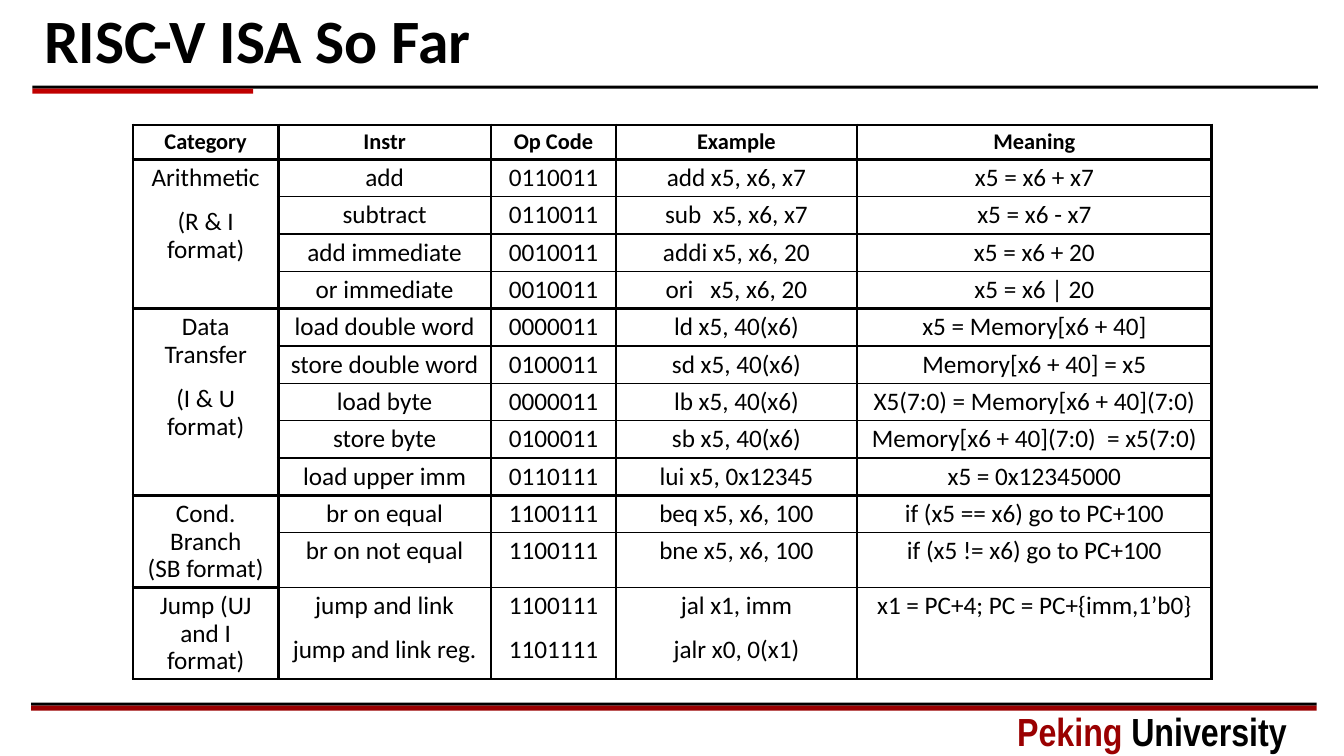
"""Build the slide that sums up the RISC-V instructions."""
from lxml.etree import SubElement
from pptx import Presentation
from pptx.dml.color import RGBColor
from pptx.enum.shapes import MSO_SHAPE
from pptx.enum.text import MSO_ANCHOR, MSO_AUTO_SIZE, PP_ALIGN
from pptx.oxml.ns import qn
from pptx.util import Inches, Pt

BLACK = RGBColor(0x00, 0x00, 0x00)
RED = RGBColor(0xC0, 0x00, 0x00)
WINE = RGBColor(0x9A, 0x00, 0x01)

TITLE = "RISC-V ISA So Far"
SCHOOL = [("Peking ", WINE), ("University", BLACK)]
BARS = [
    (0.32, 0.85, 12.75, 0.03, BLACK),
    (0.32, 0.88, 2.19, 0.05, RED),
    (0.31, 6.97, 12.75, 0.03, BLACK),
    (0.31, 7, 12.75, 0.05, WINE),
]
HEAD = ("Category", "Instr", "Op Code", "Example", "Meaning")
GROUPS = [
    ("Arithmetic\n(R & I format)", [
        ("add", "0110011", "add x5, x6, x7", "x5 = x6 + x7"),
        ("subtract", "0110011", "sub  x5, x6, x7", "x5 = x6 - x7"),
        ("add immediate", "0010011", "addi x5, x6, 20", "x5 = x6 + 20"),
        ("or immediate", "0010011", "ori   x5, x6, 20", "x5 = x6 | 20"),
    ]),
    ("Data Transfer\n(I & U format)", [
        ("load double word", "0000011", "ld x5, 40(x6)", "x5 = Memory[x6 + 40]"),
        ("store double word", "0100011", "sd x5, 40(x6)", "Memory[x6 + 40] = x5"),
        ("load byte", "0000011", "lb x5, 40(x6)", "X5(7:0) = Memory[x6 + 40](7:0)"),
        ("store byte", "0100011", "sb x5, 40(x6)", "Memory[x6 + 40](7:0)  = x5(7:0)"),
        ("load upper imm", "0110111", "lui x5, 0x12345", "x5 = 0x12345000"),
    ]),
    ("Cond. Branch\v(SB format)", [
        ("br on equal", "1100111", "beq x5, x6, 100", "if (x5 == x6) go to PC+100"),
        ("br on not equal", "1100111", "bne x5, x6, 100", "if (x5 != x6) go to PC+100"),
    ]),
    ("Jump (UJ and I format)", [
        ("jump and link\njump and link reg.", "1100111\n1101111",
         "jal x1, imm\njalr x0, 0(x1)", "x1 = PC+4; PC = PC+{imm,1’b0}"),
    ]),
]
WIDTHS = (1.44, 2.11, 1.24, 2.39, 3.52)
HEIGHTS = [0.31] + [0.34] * 11 + [0.38]
THICK, THIN = 2.25, 1
RULES = {0, 1, 5, 10, 13}


def style(para, size, name, bold):
    """Set the font of a paragraph."""
    font = para.font
    font.size, font.name, font.bold = Pt(size), name, bold
    font.color.rgb = BLACK


def edge(cell, side, width):
    """Draw one border of a cell."""
    line = SubElement(cell._tc.get_or_add_tcPr(), qn("a:ln" + side), w=str(Pt(width)))
    fill = SubElement(line, qn("a:solidFill"))
    SubElement(fill, qn("a:srgbClr"), val=str(BLACK))


def dress(cell, row, col):
    """Draw all borders of a cell and clear its fill."""
    heavy = {
        "L": col < 2,
        "R": col in (0, len(WIDTHS) - 1),
        "T": col == 0 or row in RULES,
        "B": col == 0 or row + 1 in RULES,
    }
    for side, bold in heavy.items():
        edge(cell, side, THICK if bold else THIN)
    cell.fill.background()


def write(cell, text, size, bold):
    """Put centred paragraphs into a cell."""
    cell.text = text
    for i, para in enumerate(cell.text_frame.paragraphs):
        para.alignment = PP_ALIGN.CENTER
        para.line_spacing = 0.9
        para.space_before = Pt(11.7 if i else 0)
        style(para, size, "Calibri", bold)


def add_bars(slide):
    """Draw the rules above and below the table."""
    for *box, color in BARS:
        bar = slide.shapes.add_shape(MSO_SHAPE.RECTANGLE, *map(Inches, box))
        bar.shadow.inherit = False
        bar.fill.solid()
        bar.fill.fore_color.rgb = color
        bar.line.fill.background()


def add_text(slide, box):
    """Add a wrapped text box and return its frame."""
    frame = slide.shapes.add_textbox(*map(Inches, box)).text_frame
    frame.word_wrap = True
    return frame


def add_grid(slide):
    """Add the table of instructions."""
    shape = slide.shapes.add_table(len(HEIGHTS), len(WIDTHS), *map(Inches, (1.32, 1.24, 10.7, 5.49)))
    grid = shape.table
    grid.first_row = grid.horz_banding = False
    for col, width in zip(grid.columns, WIDTHS):
        col.width = Inches(width)
    for row, height in zip(grid.rows, HEIGHTS):
        row.height = Inches(height)
    for row in range(len(HEIGHTS)):
        for col in range(len(WIDTHS)):
            dress(grid.cell(row, col), row, col)
    for col, text in enumerate(HEAD):
        write(grid.cell(0, col), text, 16, True)
    top = 1
    for label, rows in GROUPS:
        if len(rows) > 1:
            grid.cell(top, 0).merge(grid.cell(top + len(rows) - 1, 0))
        write(grid.cell(top, 0), label, 18, False)
        for row, texts in enumerate(rows, top):
            for col, text in enumerate(texts, 1):
                write(grid.cell(row, col), text, 18, False)
        top += len(rows)


def main():
    """Build and save the slide."""
    deck = Presentation()
    deck.slide_width, deck.slide_height = Inches(13.33), Inches(7.5)
    slide = deck.slides.add_slide(deck.slide_layouts[6])
    add_bars(slide)

    foot = add_text(slide, (9.99, 6.97, 3.16, 0.57))
    foot.auto_size = MSO_AUTO_SIZE.SHAPE_TO_FIT_TEXT
    para = foot.paragraphs[0]
    for text, color in SCHOOL:
        run = para.add_run()
        run.text = text
        run.font.color.rgb = color
    style(para, 28, "Arial Narrow", True)

    head = add_text(slide, (0.34, 0.02, 12.69, 0.83))
    head.vertical_anchor = MSO_ANCHOR.MIDDLE
    head.text = TITLE
    head.paragraphs[0].line_spacing = 0.9
    style(head.paragraphs[0], 44, "Calibri", True)

    add_grid(slide)
    deck.save("out.pptx")


if __name__ == "__main__":
    main()
